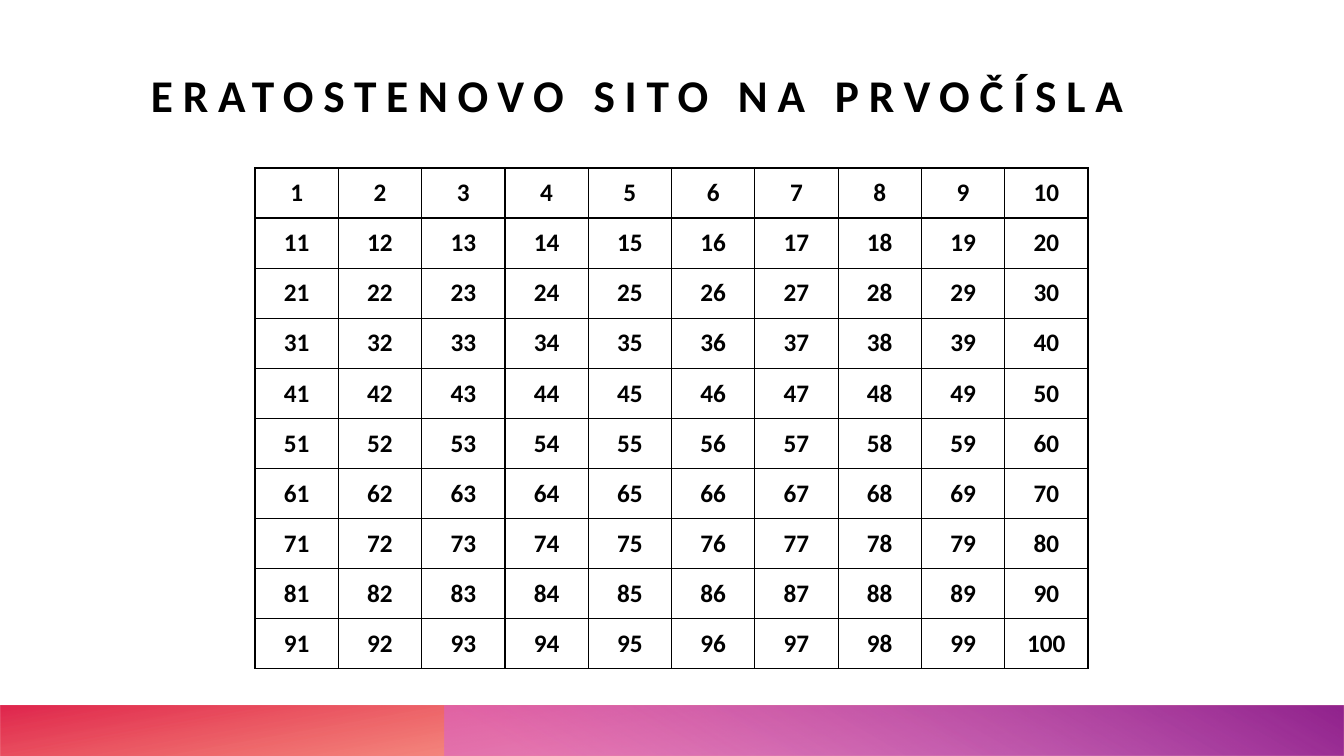
"""Builds a slide with the number grid for the sieve of Eratosthenes."""
from lxml import etree
from pptx import Presentation
from pptx import util as u
from pptx.dml.color import RGBColor
from pptx.enum import shapes, text
from pptx.oxml.ns import qn

BLACK = RGBColor(0x00, 0x00, 0x00)
ORANGE = RGBColor(0xFE, 0x4A, 0x00)
RED = RGBColor(0xDA, 0x00, 0x2F)
PINK = RGBColor(0xD8, 0x61, 0xD4)
PURPLE = RGBColor(0x92, 0x24, 0x8E)
WIDTH, HEIGHT = 1344, 756
BAND_TOP, BAND_HEIGHT = 706, 50


def px(length):
    """Turn px into EMU."""
    return round(length * 12192000 / WIDTH)


def write(frame, words, size, align=text.PP_ALIGN.LEFT, spacing=0, font="Calibri"):
    """Put bold text into a text frame."""
    paragraph = frame.paragraphs[0]
    paragraph.alignment = align
    run = paragraph.add_run()
    run.text = words
    run.font.name = font
    run.font.size = u.Pt(size)
    run.font.bold = True
    run.font.color.rgb = BLACK
    if spacing:
        run.font._element.set("spc", str(spacing * 100))


class SieveSlide:
    """Holds the style and the current slide."""

    def __init__(self, deck):
        self.slide = deck.slides.add_slide(deck.slide_layouts[5])
        self.border = u.Pt(1)

    def title(self, words, x, y, width, height):
        """Place and fill the title placeholder."""
        heading = self.slide.shapes.title
        heading.left, heading.top = px(x), px(y)
        heading.width, heading.height = px(width), px(height)
        frame = heading.text_frame
        frame.margin_left = frame.margin_right = 0
        frame.margin_top = frame.margin_bottom = 0
        frame.vertical_anchor = text.MSO_ANCHOR.BOTTOM
        frame.auto_size = text.MSO_AUTO_SIZE.NONE
        frame.word_wrap = True
        write(frame, words, 32.4, spacing=7)

    def band(self, x, stops, angle, rotation=0):
        """Draw a mirrored gradient band from x to the right edge."""
        band = self.slide.shapes.add_shape(
            shapes.MSO_SHAPE.RECTANGLE, px(x), px(BAND_TOP), px(WIDTH - x), px(BAND_HEIGHT))
        band.shadow.inherit = False
        band.line.fill.background()
        band.rotation = rotation
        band.element.spPr.xfrm.set("flipH", "1")
        band.fill.gradient()
        band.fill.gradient_angle = 360 - angle
        for stop, (position, color, opacity) in zip(band.fill.gradient_stops, stops):
            stop.position = position / 100
            stop.color.rgb = color
            tint = stop._gs.find(qn("a:srgbClr"))
            etree.SubElement(tint, qn("a:alpha")).set("val", str(opacity * 1000))

    def outline(self, cell):
        """Give a cell a black border on all sides."""
        properties = cell._tc.get_or_add_tcPr()
        for place, side in enumerate(("lnL", "lnR", "lnT", "lnB")):
            edge = etree.Element(qn(f"a:{side}"), w=str(self.border))
            fill = etree.SubElement(edge, qn("a:solidFill"))
            etree.SubElement(fill, qn("a:srgbClr")).set("val", str(BLACK))
            properties.insert(place, edge)

    def number_grid(self, x, y, width, height, side=10):
        """Draw a square table that counts up row by row."""
        grid = self.slide.shapes.add_table(
            side, side, px(x), px(y), px(width), px(height)).table
        grid.first_row = grid.horz_banding = False
        for number, cell in enumerate(grid.iter_cells(), 1):
            cell.fill.background()
            cell.vertical_anchor = text.MSO_ANCHOR.MIDDLE
            write(cell.text_frame, str(number), 18, align=text.PP_ALIGN.CENTER)
            self.outline(cell)


def main():
    """Build and save the deck."""
    deck = Presentation()
    deck.slide_width, deck.slide_height = px(WIDTH), px(HEIGHT)
    sieve = SieveSlide(deck)
    sieve.band(0, [(14, ORANGE, 28), (100, RED, 85)], angle=100, rotation=180)
    sieve.band(445, [(9, PINK, 55), (99, PURPLE, 100)], angle=240)
    sieve.title("ERATOSTENOVO SITO NA PRVOČÍSLA", 151, 50, 1129, 72)
    sieve.number_grid(255, 168, 833, 501)
    deck.save("out.pptx")


if __name__ == "__main__":
    main()
